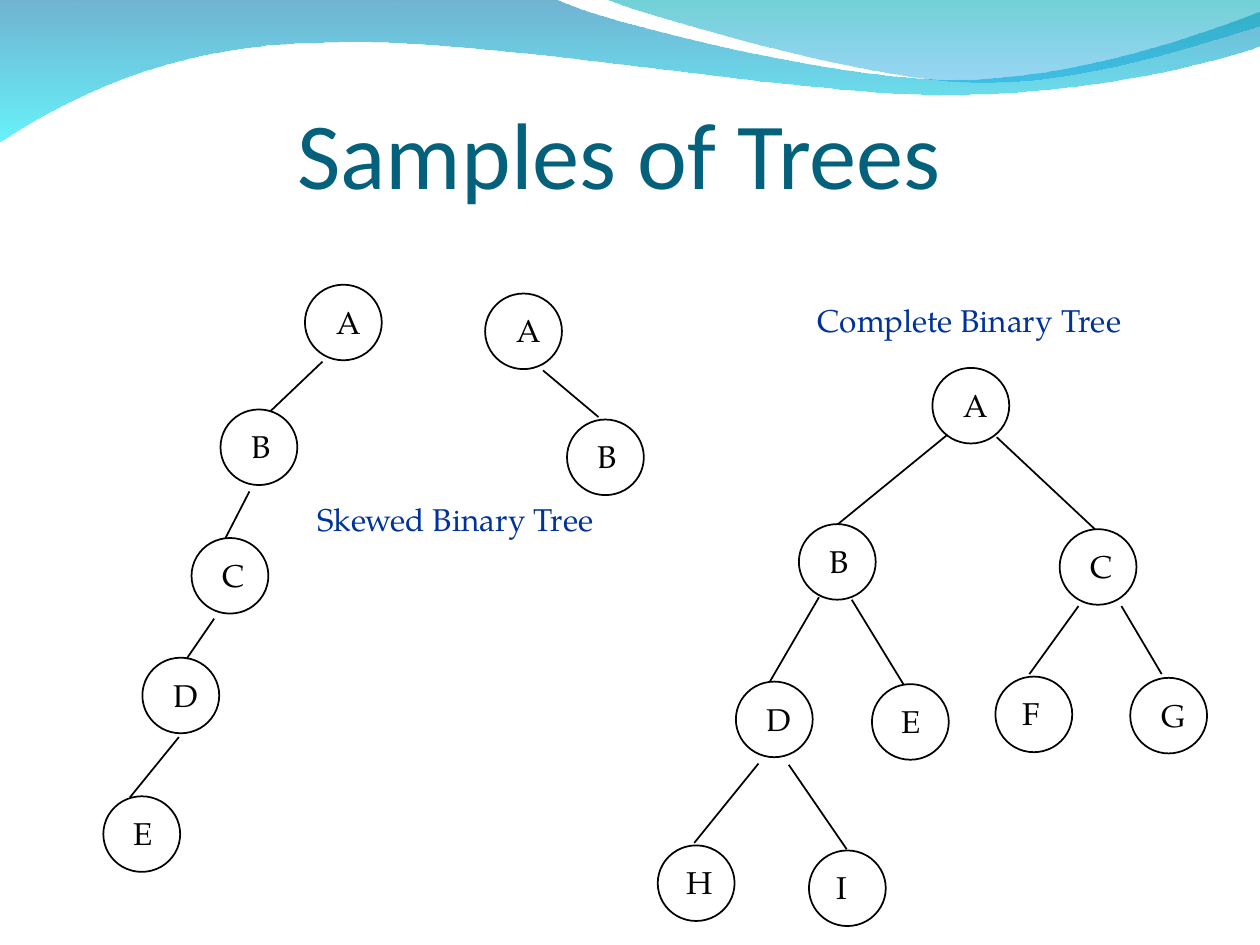
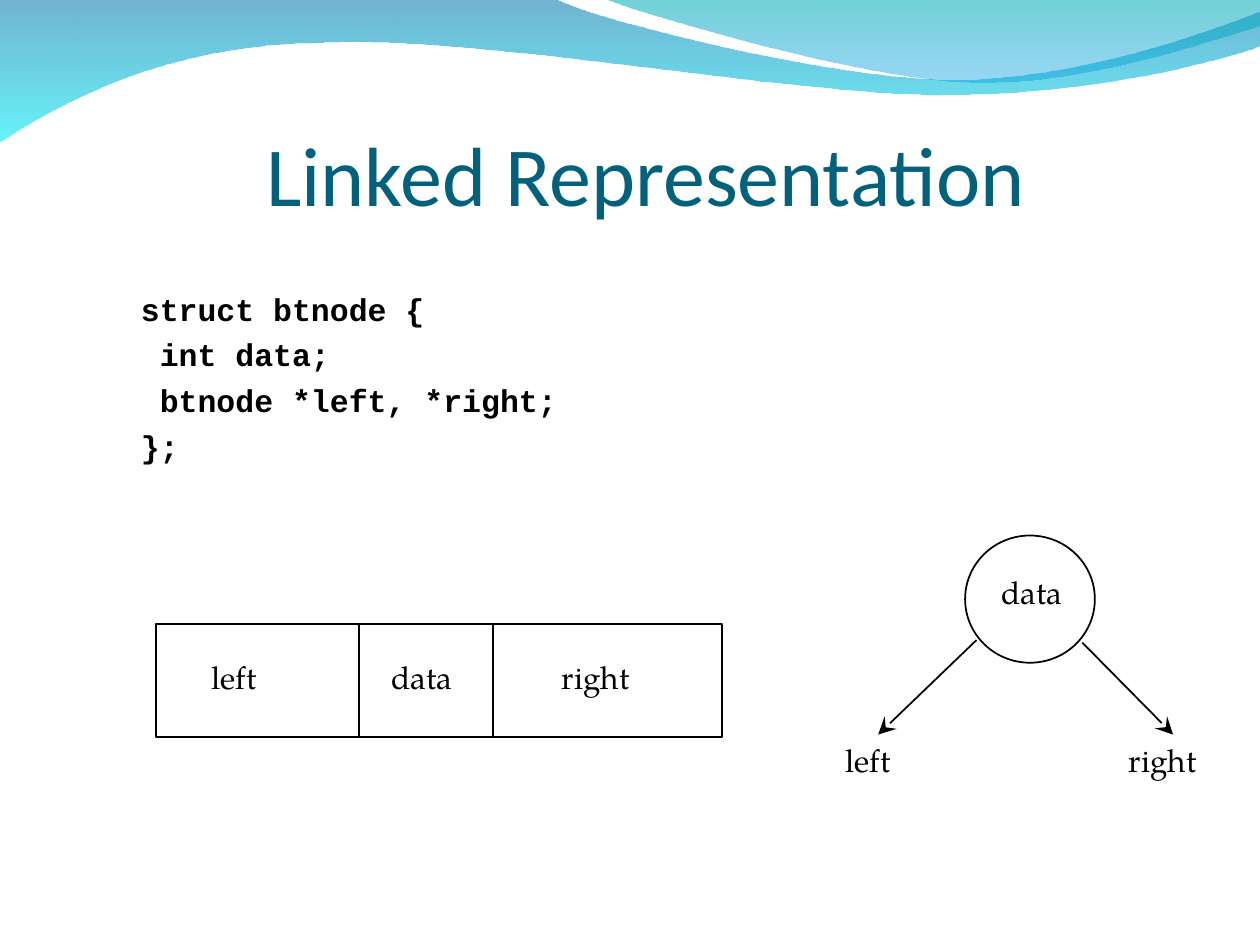
from lxml import etree
from pptx import Presentation
from pptx.dml.color import RGBColor
from pptx.enum.shapes import MSO_CONNECTOR, MSO_SHAPE
from pptx.enum.text import MSO_ANCHOR, MSO_AUTO_SIZE, PP_ALIGN
from pptx.oxml.ns import qn
from pptx.util import Inches, Pt

OVAL = MSO_SHAPE.OVAL
RECTANGLE = MSO_SHAPE.RECTANGLE
STRAIGHT = MSO_CONNECTOR.STRAIGHT
MIDDLE = MSO_ANCHOR.MIDDLE
CENTER = PP_ALIGN.CENTER
FIT_TEXT = MSO_AUTO_SIZE.SHAPE_TO_FIT_TEXT

SLIDE_WIDTH, SLIDE_HEIGHT = Inches(10), Inches(7.5)
CELL = SLIDE_WIDTH / 100  # square grid: 100 columns by 75 rows

BLACK = RGBColor(0x00, 0x00, 0x00)
TITLE_TEAL = RGBColor(0x04, 0x61, 0x7B)
CAPTION_BLUE = RGBColor(0x00, 0x33, 0x99)
DEEP_BLUE = RGBColor(0x00, 0x79, 0xAF)
CYAN = RGBColor(0x00, 0xEB, 0xF8)
TURQUOISE = RGBColor(0x00, 0xAD, 0xB6)
SKY_BLUE = RGBColor(0x00, 0x9B, 0xE5)

TITLE_FONT, LABEL_FONT, CODE_FONT = "Calibri", "TeX Gyre Pagella", "Courier New"
BODY_SIZE = 18
NODE_SIZE = (6.1, 6)
LETTER_TOP, LETTER_HEIGHT = 0.93, 4
# Left offset inside the node and width of each letter's box.
LETTER_SPANS = {
    "A": (1.5, 3.8), "B": (1.45, 3.7), "C": (1.5, 3.6), "D": (1.45, 3.8),
    "E": (1.4, 3.6), "F": (1.2, 3.5), "G": (1.5, 3.8), "H": (1.3, 4),
    "I": (1.2, 2.9),
}

# Outlines: a pair is a straight step, a triple of pairs a Bezier curve.
# Gradient stops: colour and opacity in percent, from top to bottom.
WAVES = [
    ([(0, -0.1), (44, -0.1),
      ((47.6, 1.7), (66.4, 6.3), (75.8, 6.3)),
      ((85.3, 6.3), (95.8, 2.6), (100, 0.9)),
      (100.1, 3.6),
      ((98.3, 4.4), (87, 7.6), (74.6, 7.5)),
      ((62.2, 7.5), (38.2, 2.8), (25.7, 3.4)),
      ((12.9, 3.5), (4.6, 8.3), (-0.1, 11.3))],
     [(DEEP_BLUE, 56), (CYAN, 60)]),
    ([(47.9, -0.1),
      ((50.9, 1.1), (68.2, 6.2), (76.9, 6.5)),
      ((85.6, 6.9), (96.1, 3.2), (100, 2.1)),
      (100, 0)],
     [(TURQUOISE, 56), (SKY_BLUE, 40)]),
]

# Each tree: the corner of every node, then the ends of every branch.
LEFT_SKEWED = (
    {"A": (24.2, 22.6), "B": (17.5, 32.5), "C": (15.2, 42.7),
     "D": (11.3, 52.2), "E": (8.2, 63.2)},
    [((25.6, 28.7), (21.5, 32.6)), ((19.8, 39), (17.9, 42.7)),
     ((17, 49.1), (14.8, 52.3)), ((14.2, 58.5), (10.3, 63.3))],
)
RIGHT_SKEWED = (
    {"A": (38.5, 23.3), "B": (45, 33.3)},
    [((43.1, 29.4), (47.5, 33.1))],
)
COMPLETE = (
    {"A": (74, 29.2), "B": (63.4, 41.6), "C": (84.1, 42),
     "D": (58.4, 54.1), "E": (69.2, 54.3), "F": (79, 53.7),
     "G": (89.7, 53.8), "H": (52.2, 67.1), "I": (64.2, 67.5)},
    [((75.2, 34.5), (66.5, 41.6)), ((79.1, 34.7), (86.9, 42)),
     ((65, 47.4), (61.1, 54.1)), ((67.6, 47.6), (71.7, 54.3)),
     ((85.6, 48.1), (81.7, 53.5)), ((89, 48.1), (92.2, 53.5)),
     ((60.2, 60.6), (55.1, 66.9)), ((62.6, 60.7), (67.2, 67.4))],
)

STRUCT_CODE = ["struct btnode {", " int data;", " btnode *left, *right;", "};"]


def grid(*cells):
    """Turn grid columns and rows into slide lengths."""
    return [round(cell * CELL) for cell in cells]


def add_run(paragraph, text, size, font, color, bold=False):
    run = paragraph.add_run()
    run.text = text
    run.font.size = Pt(size)
    run.font.name = font
    run.font.color.rgb = color
    run.font.bold = bold


def add_title(slide, text, corner, size, width):
    frame = slide.shapes.add_textbox(*grid(*corner, width, 12.5)).text_frame
    frame.word_wrap = True
    frame.vertical_anchor = MIDDLE
    paragraph = frame.paragraphs[0]
    paragraph.alignment = CENTER
    add_run(paragraph, text, size, TITLE_FONT, TITLE_TEAL)


def add_label(shapes, text, corner, size, color=BLACK):
    frame = shapes.add_textbox(*grid(*corner, *size)).text_frame
    frame.word_wrap = False
    frame.auto_size = FIT_TEXT
    add_run(frame.paragraphs[0], text, BODY_SIZE, LABEL_FONT, color)


def add_outline(shapes, preset, corner, size):
    outline = shapes.add_shape(preset, *grid(*corner, *size))
    outline.shadow.inherit = False
    outline.fill.background()
    outline.line.color.rgb = BLACK
    outline.line.width = Pt(1)


def add_line(slide, start, end, arrow=False):
    line = slide.shapes.add_connector(STRAIGHT, *grid(*start, *end))
    line.line.color.rgb = BLACK
    line.line.width = Pt(1)
    properties = line.element.spPr
    if arrow:
        etree.SubElement(properties.find(qn("a:ln")), qn("a:tailEnd"),
                         type="stealth", w="lg", len="lg")
    etree.SubElement(properties, qn("a:effectLst"))


def add_node(slide, letter, corner):
    node = slide.shapes.add_group_shape()
    add_outline(node.shapes, OVAL, corner, NODE_SIZE)
    left, top = corner
    offset, width = LETTER_SPANS[letter]
    add_label(node.shapes, letter, (left + offset, top + LETTER_TOP),
              (width, LETTER_HEIGHT))


def add_tree(slide, nodes, branches):
    for letter, corner in nodes.items():
        add_node(slide, letter, corner)
    for start, end in branches:
        add_line(slide, start, end)


def is_curve(step):
    return len(step) == 3


def bend_curves(outline_path, steps):
    """Merge the three straight segments of each curve into one Bezier."""
    segments = iter(outline_path.findall(qn("a:lnTo")))
    for step in steps:
        segment = next(segments)
        if is_curve(step):
            segment.tag = qn("a:cubicBezTo")
            for _ in range(2):
                extra = next(segments)
                segment.append(extra[0])
                outline_path.remove(extra)


def add_wave(slide, outline, stops):
    start, *steps = outline
    points = []
    for step in steps:
        points.extend(step if is_curve(step) else [step])
    builder = slide.shapes.build_freeform(*grid(*start))
    builder.add_line_segments([grid(*point) for point in points], close=True)
    wave = builder.convert_to_shape()
    bend_curves(next(wave.element.iter(qn("a:path"))), steps)
    wave.shadow.inherit = False
    wave.line.fill.background()
    wave.fill.gradient()
    wave.fill.gradient_angle = 270
    for stop, (color, _) in zip(wave.fill.gradient_stops, stops):
        stop.color.rgb = color
    stop_colors = wave.element.spPr.iter(qn("a:srgbClr"))
    for stop_color, (_, opacity) in zip(list(stop_colors), stops):
        etree.SubElement(stop_color, qn("a:alpha"), val=str(opacity * 1000))
    return wave


def move_to_master(prs, waves):
    """Let every slide inherit the waves."""
    tree = prs.slide_master.element.cSld.spTree
    for number, wave in enumerate(waves, start=101):
        wave.element.nvSpPr.cNvPr.set("id", str(number))
        tree.append(wave.element)


def add_code(slide, lines, corner, size):
    frame = slide.shapes.add_textbox(*grid(*corner, *size)).text_frame
    frame.word_wrap = True
    for index, line in enumerate(lines):
        paragraph = frame.add_paragraph() if index else frame.paragraphs[0]
        paragraph.space_before = Pt(4.5)
        properties = paragraph._p.get_or_add_pPr()
        properties.set("marL", str(Inches(0.38)))
        properties.set("indent", str(Inches(-0.36)))
        add_run(paragraph, line, BODY_SIZE, CODE_FONT, BLACK, bold=True)


def fill_samples(slide):
    add_title(slide, "Samples of Trees", (7.5, 5.8), 54, 83.3)
    for tree in (LEFT_SKEWED, RIGHT_SKEWED, COMPLETE):
        add_tree(slide, *tree)
    add_label(slide.shapes, "Complete Binary Tree", (63.9, 23.4), (28, 4), CAPTION_BLUE)
    add_label(slide.shapes, "Skewed Binary Tree", (24.2, 39.2), (25.9, 4), CAPTION_BLUE)


def add_record(slide):
    """Draw the node as a record with three fields."""
    add_outline(slide.shapes, RECTANGLE, (12.4, 49.5), (44.9, 9))
    for divider in (28.5, 39.1):
        add_line(slide, (divider, 49.6), (divider, 58.5))
    for field, left, width in (("left", 15.8, 6.4), ("data", 30.1, 7.3),
                               ("right", 43.6, 7.8)):
        add_label(slide.shapes, field, (left, 51.7), (width, 4))


def add_linked_node(slide):
    """Draw the node as a circle with two child pointers."""
    add_outline(slide.shapes, OVAL, (76.6, 42.5), (10.3, 10.1))
    add_label(slide.shapes, "data", (78.5, 45), (7.3, 4))
    add_line(slide, (77.5, 50.8), (69.7, 58.3), arrow=True)
    add_line(slide, (85.9, 51), (93.1, 58.3), arrow=True)
    add_label(slide.shapes, "left", (66.1, 58.3), (5.9, 4))
    add_label(slide.shapes, "right", (88.6, 58.3), (7.8, 4))


def fill_linked(slide):
    add_title(slide, "Linked Representation", (10, 7.5), 48, 82.5)
    add_code(slide, STRUCT_CODE, (10, 22.5), (39, 21.5))
    add_record(slide)
    add_linked_node(slide)


def main():
    prs = Presentation()
    prs.slide_width, prs.slide_height = SLIDE_WIDTH, SLIDE_HEIGHT
    blank = prs.slide_layouts[6]
    samples = prs.slides.add_slide(blank)
    linked = prs.slides.add_slide(blank)
    move_to_master(prs, [add_wave(samples, *wave) for wave in WAVES])
    fill_samples(samples)
    fill_linked(linked)
    prs.save("out.pptx")


if __name__ == "__main__":
    main()
